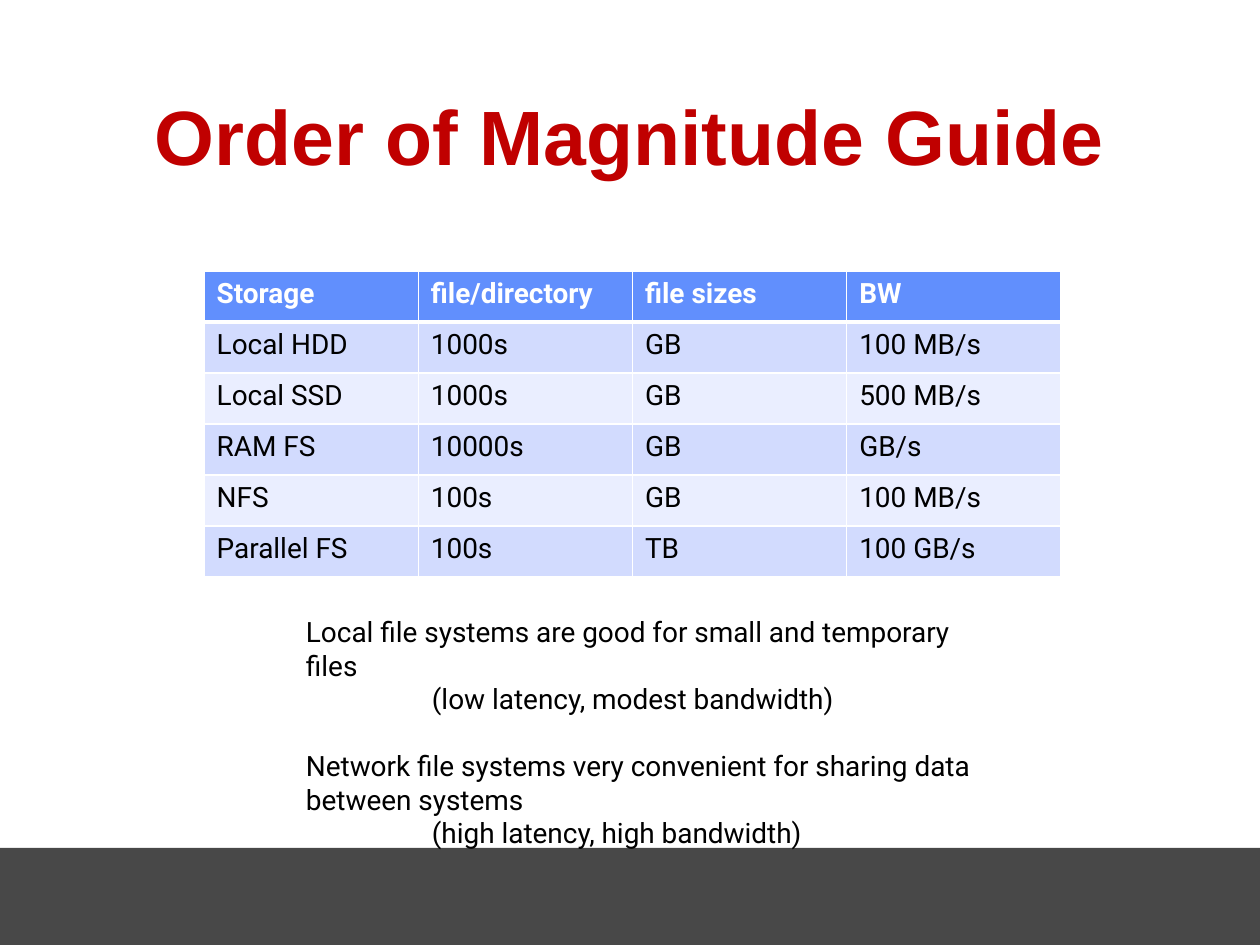
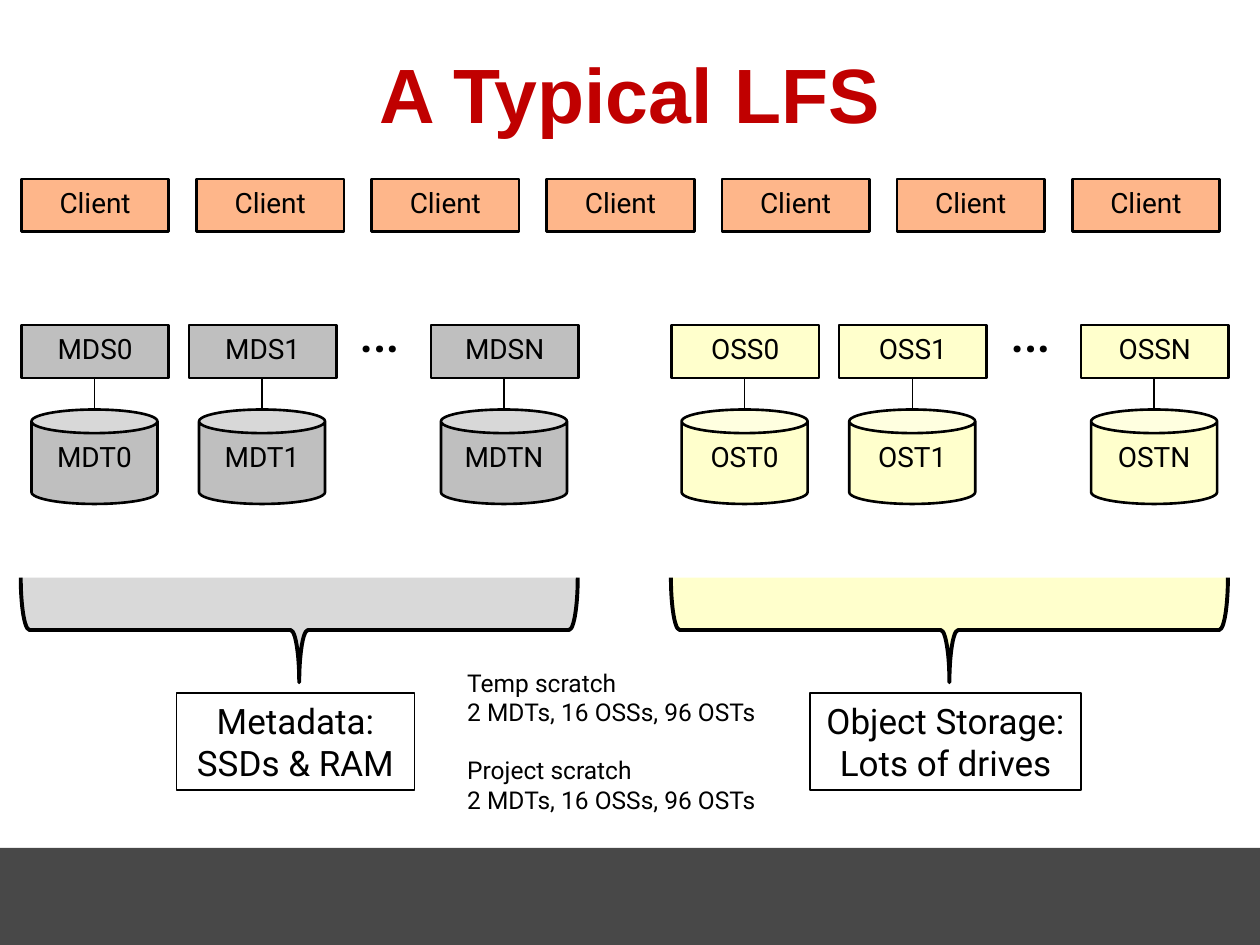
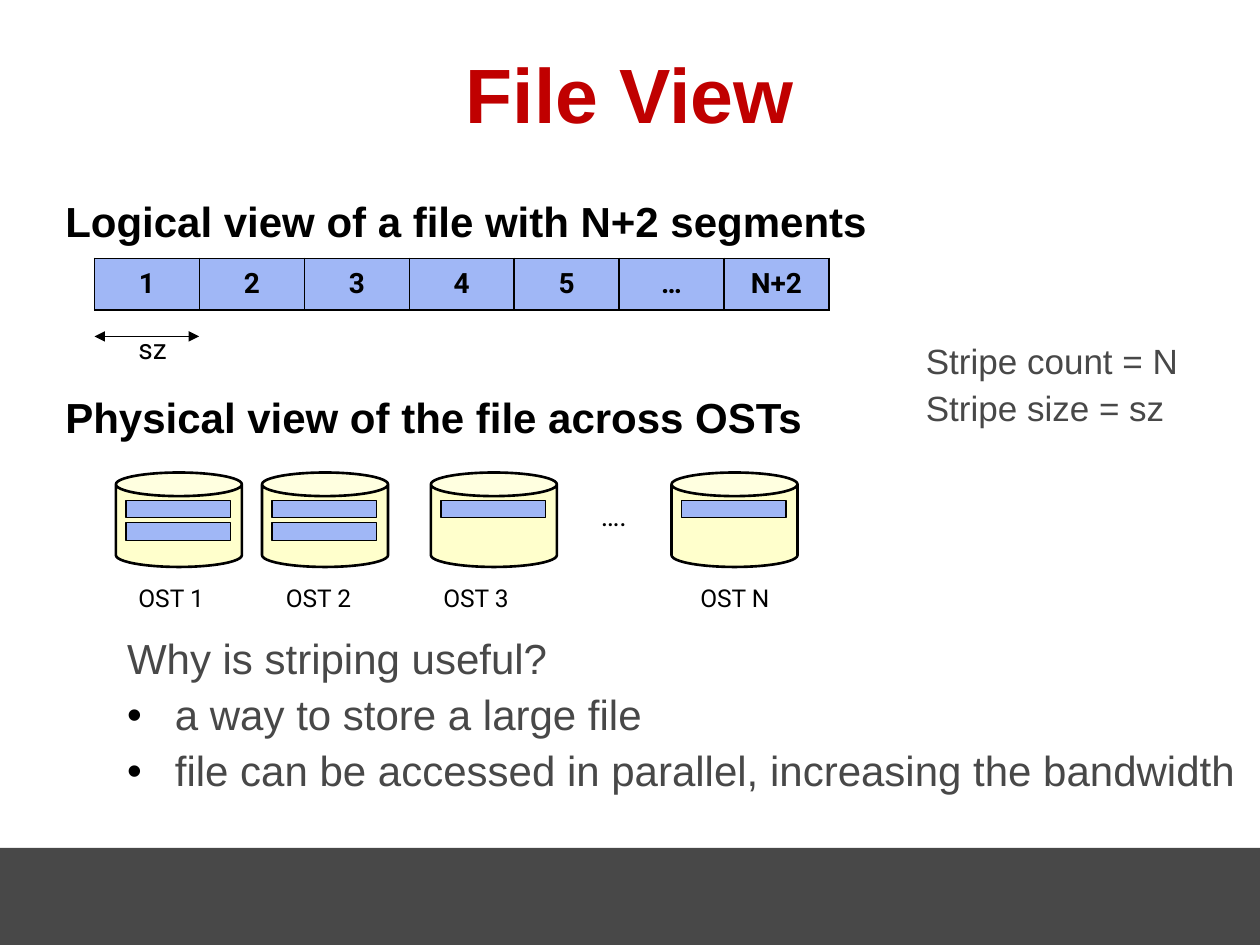
import pptx
import pptx.util
import pptx.dml.color
import pptx.enum.shapes
import pptx.enum.text
import pptx.oxml
import pptx.oxml.ns

Inches = pptx.util.Inches
Pt = pptx.util.Pt
Preset = pptx.enum.shapes.MSO_SHAPE
Align = pptx.enum.text.PP_ALIGN
Anchor = pptx.enum.text.MSO_ANCHOR

COLORS = {
    "title": "C00000", "band": "484848", "text": "000000", "white": "FFFFFF",
    "header": "618FFD", "odd_row": "D2DBFE", "even_row": "EAEEFF",
    "client": "FEB68A", "metadata": "BFBFBF", "metadata_brace": "D9D9D9",
    "object": "FFFFCC", "segment": "A0B7F6",
}
HEADING_FONT = "Arial"
BODY_FONT = "Roboto"

STORAGE_GUIDE = [
    ["Storage", "file/directory", "file sizes", "BW"],
    ["Local HDD", "1000s", "GB", "100 MB/s"],
    ["Local SSD", "1000s", "GB", "500 MB/s"],
    ["RAM FS", "10000s", "GB", "GB/s"],
    ["NFS", "100s", "GB", "100 MB/s"],
    ["Parallel FS", "100s", "TB", "100 GB/s"],
]


def rgb(color):
    return pptx.dml.color.RGBColor.from_string(COLORS[color])


def add_xml(parent, tag, **attributes):
    child = pptx.oxml.parse_xml(f"<a:{tag} {pptx.oxml.ns.nsdecls('a')}/>")
    for key, value in attributes.items():
        child.set(key, str(value))
    parent.append(child)
    return child


def write(frame, lines, size, font=BODY_FONT, color="text", bold=False, align=Align.LEFT):
    frame.text = "\n".join(lines)
    for paragraph in frame.paragraphs:
        paragraph.alignment = align
        paragraph.font.size = Pt(size)
        paragraph.font.name = font
        paragraph.font.bold = bold
        paragraph.font.color.rgb = rgb(color)
    return frame.paragraphs


def add_text(slide, box, lines, size, wrap=True, anchor=Anchor.TOP, **style):
    frame = slide.shapes.add_textbox(*map(Inches, box)).text_frame
    frame.word_wrap = wrap
    frame.vertical_anchor = anchor
    return write(frame, lines, size, **style)


def add_outline_text(slide, box, lines, size):
    paragraphs = add_text(slide, box, lines, size, font=HEADING_FONT, color="band")
    for paragraph in paragraphs:
        paragraph.line_spacing = 0.95
        paragraph.space_before = Pt(size * 0.2)
    return paragraphs


def indent(paragraph, left, first=0):
    properties = paragraph._p.get_or_add_pPr()
    properties.set("marL", str(Inches(left)))
    properties.set("indent", str(Inches(first)))
    return properties


def add_bullet(paragraph):
    properties = indent(paragraph, 0.38, -0.38)
    add_xml(add_xml(properties, "buClr"), "srgbClr", val=COLORS["text"])
    add_xml(properties, "buFont", typeface=HEADING_FONT)
    add_xml(properties, "buChar", char="•")


def add_block(slide, preset, box, fill, line=1.5, lines=(), size=16):
    block = slide.shapes.add_shape(preset, *map(Inches, box))
    block.shadow.inherit = False
    block.fill.solid()
    block.fill.fore_color.rgb = rgb(fill)
    if line:
        block.line.color.rgb = rgb("text")
        block.line.width = Pt(line)
    else:
        block.line.fill.background()
    if lines:
        block.text_frame.word_wrap = False
        block.text_frame.vertical_anchor = Anchor.TOP
        write(block.text_frame, lines, size, align=Align.CENTER)
    return block


def add_link(slide, start, end, arrows=False):
    link = slide.shapes.add_connector(
        pptx.enum.shapes.MSO_CONNECTOR.STRAIGHT, *map(Inches, start + end))
    link.line.color.rgb = rgb("text")
    link.line.width = Pt(0.75)
    if arrows:
        for tag in ("headEnd", "tailEnd"):
            add_xml(link.line._get_or_add_ln(), tag, type="triangle")
    add_xml(link._element.spPr, "effectLst")


def set_cell(cell, fill, border, bottom=1):
    properties = cell._tc.get_or_add_tcPr()
    for side in "LRTB":
        width = Pt(bottom if side == "B" else 1)
        edge = add_xml(properties, f"ln{side}", w=width)
        add_xml(add_xml(edge, "solidFill"), "srgbClr", val=COLORS[border])
    cell.fill.solid()
    cell.fill.fore_color.rgb = rgb(fill)


def add_grid(slide, box, row_count, column_count):
    table = slide.shapes.add_table(row_count, column_count, *map(Inches, box)).table
    table.first_row = False
    table.horz_banding = False
    return table


def add_slide(deck, title, title_top=0.25):
    slide = deck.slides.add_slide(deck.slide_layouts[6])
    add_block(slide, Preset.RECTANGLE, (0, 6.73, 10, 0.77), "band", line=0)
    heading = add_text(slide, (0.75, title_top, 8.5, 0.92), [title], 44,
                       anchor=Anchor.BOTTOM, font=HEADING_FONT, color="title",
                       bold=True, align=Align.CENTER)
    heading[0].line_spacing = 0.95
    return slide


def add_server_group(slide, left, server, target, fill, brace_fill):
    for suffix, offset in (("0", 0), ("1", 1.33), ("N", 3.25)):
        x = left + offset
        add_block(slide, Preset.RECTANGLE, (x, 2.58, 1.17, 0.42), fill, lines=[server + suffix])
        add_block(slide, Preset.CAN, (x + 0.08, 3.25, 1, 0.75), fill, lines=[target + suffix])
        add_link(slide, (x + 0.58, 3), (x + 0.58, 3.25))
    add_text(slide, (left + 2.58, 2.25, 0.71, 0.71), ["…"], 36, wrap=False)
    brace = add_block(slide, Preset.LEFT_BRACE, (left + 1.79, 2.79, 0.83, 4.42), brace_fill, 2.25)
    brace.rotation = 270


def add_drive(slide, left, label_left, label, stripe_count):
    add_block(slide, Preset.CAN, (left, 3.75, 1, 0.75), "object")
    for stripe in range(stripe_count):
        add_block(slide, Preset.RECTANGLE,
                  (left + 0.08, 3.97 + 0.18 * stripe, 0.83, 0.14), "segment", 0.75)
    add_text(slide, (label_left, 4.58, 0.92, 0.34), [label], 14)


def build_magnitude_guide(deck):
    slide = add_slide(deck, "Order of Magnitude Guide", 0.58)
    guide = add_grid(slide, (1.62, 2.15, 6.8, 2.43), len(STORAGE_GUIDE), 4)
    for row, values in enumerate(STORAGE_GUIDE):
        header = row == 0
        fill = "header" if header else "odd_row" if row % 2 else "even_row"
        for column, value in enumerate(values):
            cell = guide.cell(row, column)
            set_cell(cell, fill, "white", 3 if header else 1)
            write(cell.text_frame, [value], 16, color="white" if header else "text", bold=header)
    advice = add_text(slide, (2.33, 4.83, 5.75, 1.72), [
        "Local file systems are good for small and temporary files",
        "(low latency, modest bandwidth)",
        "Network file systems very convenient for sharing data between systems",
        "(high latency, high bandwidth)",
    ], 16)
    for detail in advice[1::2]:
        indent(detail, 1)
    advice[2].space_before = Pt(19)


def build_typical_lfs(deck):
    slide = add_slide(deck, "A Typical LFS")
    for client in range(7):
        add_block(slide, Preset.RECTANGLE, (0.17 + 1.39 * client, 1.42, 1.17, 0.42),
                  "client", lines=["Client"])
    add_server_group(slide, 0.17, "MDS", "MDT", "metadata", "metadata_brace")
    add_server_group(slide, 5.33, "OSS", "OST", "object", "object")
    for left, width, lines in (
        (1.4, 1.89, ["Metadata:", "SSDs & RAM"]),
        (6.43, 2.15, ["Object Storage:", "Lots of drives"]),
    ):
        add_block(slide, Preset.RECTANGLE, (left, 5.5, width, 0.77), "white", 1, lines, 20)
    sizes = "2 MDTs, 16 OSSs, 96 OSTs"
    scratch = add_text(slide, (3.61, 5.25, 2.64, 1.28),
                       ["Temp scratch", sizes, "Project scratch", sizes], 14)
    scratch[2].space_before = Pt(16.5)


def build_file_view(deck):
    slide = add_slide(deck, "File View")
    for top, heading in (
        (1.5, "Logical view of a file with N+2 segments"),
        (3.06, "Physical view of the file across OSTs"),
    ):
        add_text(slide, (0.42, top, 6.75, 0.5), [heading], 24, font=HEADING_FONT, bold=True)
    segments = ["1", "2", "3", "4", "5", "…", "N+2"]
    file_row = add_grid(slide, (0.75, 2.05, 5.83, 0.41), 1, len(segments))
    for column, segment in enumerate(segments):
        cell = file_row.cell(0, column)
        set_cell(cell, "segment", "text")
        cell.vertical_anchor = Anchor.MIDDLE
        write(cell.text_frame, [segment], 16, bold=True, align=Align.CENTER)
    add_link(slide, (0.75, 2.67), (1.58, 2.67), arrows=True)
    add_text(slide, (1, 2.58, 0.58, 0.37), ["sz"], 16)
    for drive in ((0.92, 1, "OST 1", 2), (2.08, 2.17, "OST 2", 2),
                  (3.42, 3.42, "OST 3", 1), (5.33, 5.46, "OST N", 1)):
        add_drive(slide, *drive)
    add_text(slide, (4.67, 3.91, 0.5, 0.37), ["…."], 16)
    add_outline_text(slide, (7.25, 2.67, 2.67, 0.98), ["Stripe count = N", "Stripe size = sz"], 20)
    reasons = add_outline_text(slide, (0.91, 5, 9.09, 1.64), [
        "Why is striping useful?",
        "a way to store a large file",
        "file can be accessed in parallel, increasing the bandwidth",
    ], 24)
    for reason in reasons[1:]:
        add_bullet(reason)


def main():
    deck = pptx.Presentation()
    deck.slide_width = Inches(10)
    deck.slide_height = Inches(7.5)
    build_magnitude_guide(deck)
    build_typical_lfs(deck)
    build_file_view(deck)
    deck.save("out.pptx")


if __name__ == "__main__":
    main()
